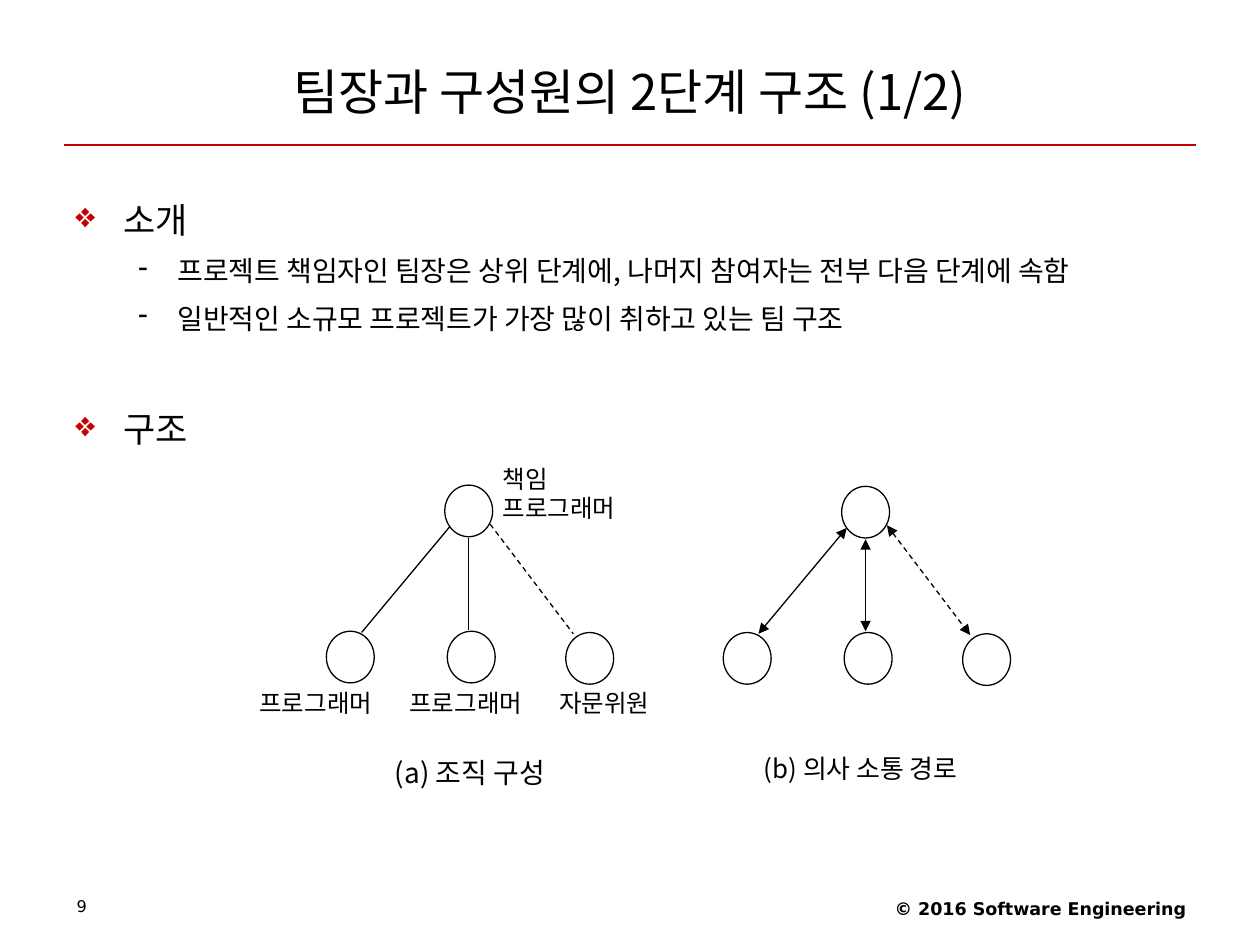
from dataclasses import dataclass

from lxml import etree
from pptx import Presentation
from pptx.dml.color import RGBColor
from pptx.enum.dml import MSO_LINE
from pptx.enum.shapes import MSO_CONNECTOR, MSO_SHAPE
from pptx.enum.text import MSO_ANCHOR, MSO_AUTO_SIZE, PP_ALIGN
from pptx.oxml.ns import qn
from pptx.util import Inches, Pt

STRAIGHT = MSO_CONNECTOR.STRAIGHT
ELLIPSE = MSO_SHAPE.OVAL
DASH = MSO_LINE.DASH
TOP, MIDDLE = MSO_ANCHOR.TOP, MSO_ANCHOR.MIDDLE
NO_AUTO_SIZE = MSO_AUTO_SIZE.NONE
LEFT, CENTER, RIGHT = PP_ALIGN.LEFT, PP_ALIGN.CENTER, PP_ALIGN.RIGHT
JUSTIFY = PP_ALIGN.JUSTIFY
TITLE_ONLY = 5


@dataclass(frozen=True)
class Theme:
    black: RGBColor = RGBColor(0x00, 0x00, 0x00)
    white: RGBColor = RGBColor(0xFF, 0xFF, 0xFF)
    red: RGBColor = RGBColor(0xC4, 0x00, 0x00)
    font: str = "Noto Sans CJK KR"
    footer_font: str = "DejaVu Sans"
    title: float = 28
    heading: float = 20
    item: float = 16
    label: float = 14
    caption_a: float = 16
    caption_b: float = 14.8
    copyright: float = 10
    page_number: float = 9.2
    line: float = 0.75


THEME = Theme()

# Bullet, colour, text size and paragraph format of each outline level
OUTLINE_LEVELS = (
    ("❖", THEME.red, THEME.heading, 0.38, 0.38, {"line_spacing": 1.4, "space_before": Pt(5)}),
    ("-", THEME.black, THEME.item, 0.81, 0.31, {"line_spacing": 1.2, "space_before": Pt(4)}),
)

# Offsets from the leader circle's top left corner
CIRCLE_SIZE = (0.38, 0.41)
CIRCLES = ((0, 0), (-0.94, 1.16), (0.02, 1.16), (0.96, 1.17))
LINKS = (
    ((0.04, 0.33), (-0.66, 1.17), False),
    ((0.19, 0.42), (0.19, 1.15), False),
    ((0.36, 0.31), (1.02, 1.18), True),
)


def inches(values):
    return [Inches(value) for value in values]


def apply_format(target, values):
    for name, value in values.items():
        setattr(target, name, value)


def write_paragraph(paragraph, text, size, font=THEME.font, bold=False, **layout):
    run = paragraph.add_run()
    run.text = text
    apply_format(run.font, {"size": Pt(size), "name": font, "bold": bold})
    run.font.color.rgb = THEME.black
    east_asian = etree.SubElement(run.font._element, qn("a:ea"))
    east_asian.set("typeface", font)
    apply_format(paragraph, layout)


def add_text(slide, box, lines, size, **options):
    shape = slide.shapes.add_textbox(*inches(box))
    frame = shape.text_frame
    apply_format(frame, {"word_wrap": True, "vertical_anchor": TOP})
    for index, line in enumerate(lines):
        paragraph = frame.add_paragraph() if index else frame.paragraphs[0]
        write_paragraph(paragraph, line, size, **options)
    return shape


def add_line(slide, start, end, color, dashed=False, arrows=False):
    connector = slide.shapes.add_connector(STRAIGHT, *inches(start + end))
    connector.line.color.rgb = color
    connector.line.width = Pt(THEME.line)
    if dashed:
        connector.line.dash_style = DASH
    if arrows:
        outline = connector.line._get_or_add_ln()
        for tag in ("a:headEnd", "a:tailEnd"):
            etree.SubElement(outline, qn(tag)).set("type", "triangle")
    etree.SubElement(connector._element.spPr, qn("a:effectLst"))


def set_bullet(paragraph, character, color, margin, hanging):
    properties = paragraph._p.get_or_add_pPr()
    properties.set("marL", str(Inches(margin)))
    properties.set("indent", str(-Inches(hanging)))
    bullet_color = etree.SubElement(properties, qn("a:buClr"))
    etree.SubElement(bullet_color, qn("a:srgbClr")).set("val", str(color))
    etree.SubElement(properties, qn("a:buChar")).set("char", character)


def fill_title(slide, box, text):
    title = slide.shapes.title
    apply_format(title, dict(zip(("left", "top", "width", "height"), inches(box))))
    frame = title.text_frame
    apply_format(frame, {"vertical_anchor": MIDDLE, "word_wrap": True, "auto_size": NO_AUTO_SIZE})
    write_paragraph(frame.paragraphs[0], text, THEME.title, alignment=CENTER)
    left, top, width, height = box
    bottom = top + height
    add_line(slide, (left + 0.01, bottom), (left + width - 0.01, bottom), THEME.red)


def add_footer(slide, box):
    left, top, width, height = box
    add_text(slide, (left, top, 2.33, height), ["9"], THEME.page_number,
             font=THEME.footer_font, alignment=LEFT, line_spacing=0.9)
    add_text(slide, (left + width - 3.17, top, 3.17, height), ["© 2016 Software Engineering"],
             THEME.copyright, font=THEME.footer_font, bold=True, alignment=RIGHT)


def add_outline(slide, box, entries):
    """Write (level, text, extra space before in points) entries as a bulleted list."""
    frame = slide.shapes.add_textbox(*inches(box)).text_frame
    frame.word_wrap = True
    for index, (level, text, gap) in enumerate(entries):
        paragraph = frame.add_paragraph() if index else frame.paragraphs[0]
        character, color, size, margin, hanging, layout = OUTLINE_LEVELS[level]
        write_paragraph(paragraph, text, size, level=level, **layout)
        paragraph.space_before += Pt(gap)
        set_bullet(paragraph, character, color, margin, hanging)


def add_team_tree(slide, origin, arrows):
    """Draw a leader at origin with three members below."""
    def place(offset):
        return origin[0] + offset[0], origin[1] + offset[1]

    for offset in CIRCLES:
        circle = slide.shapes.add_shape(ELLIPSE, *inches(place(offset) + CIRCLE_SIZE))
        circle.shadow.inherit = False
        circle.fill.solid()
        circle.fill.fore_color.rgb = THEME.white
        circle.line.color.rgb = THEME.black
        circle.line.width = Pt(THEME.line)
    for start, end, dashed in LINKS:
        add_line(slide, place(start), place(end), THEME.black, dashed, arrows)


def add_caption(slide, box, text, size, line_spacing):
    caption = add_text(slide, box, [text], size, alignment=CENTER, line_spacing=line_spacing)
    caption.fill.solid()
    caption.fill.fore_color.rgb = THEME.white


def add_organization(slide, box):
    left, top, _, height = box
    add_team_tree(slide, (left + 1.57, top + 0.22), arrows=False)
    add_text(slide, (left + 1.93, top, 1.36, 0.9), ["책임", "프로그래머"],
             THEME.label, alignment=JUSTIFY)
    for index, role in enumerate(("프로그래머", "프로그래머", "자문위원")):
        add_text(slide, (left + index * 1.19, top + 1.78, 1.18, 0.45), [role],
                 THEME.label, alignment=JUSTIFY)
    add_caption(slide, (left + 0.74, top + height - 0.45, 2.06, 0.45),
                "(a) 조직 구성", THEME.caption_a, 1.0)


def add_communication(slide, box):
    left, top, _, height = box
    add_team_tree(slide, (left + 0.94, top + 0.23), arrows=True)
    add_caption(slide, (left + 0.08, top + height - 0.45, 2.02, 0.45),
                "(b) 의사 소통 경로", THEME.caption_b, 0.9)


def main():
    presentation = Presentation()
    presentation.slide_width, presentation.slide_height = inches((10, 7.5))
    slide = presentation.slides.add_slide(presentation.slide_layouts[TITLE_ONLY])
    fill_title(slide, (0.5, 0.3, 9, 0.85), "팀장과 구성원의 2단계 구조 (1/2)")
    add_outline(slide, (0.5, 1.39, 9, 5.51), (
        (0, "소개", 0),
        (1, "프로젝트 책임자인 팀장은 상위 단계에, 나머지 참여자는 전부 다음 단계에 속함", 0),
        (1, "일반적인 소규모 프로젝트가 가장 많이 취하고 있는 팀 구조", 0),
        (0, "구조", 27),
    ))
    add_organization(slide, (1.96, 3.63, 3.57, 2.77))
    add_communication(slide, (5.74, 3.63, 2.28, 2.77))
    add_footer(slide, (0.51, 7.08, 9, 0.29))
    presentation.save("out.pptx")


if __name__ == "__main__":
    main()
